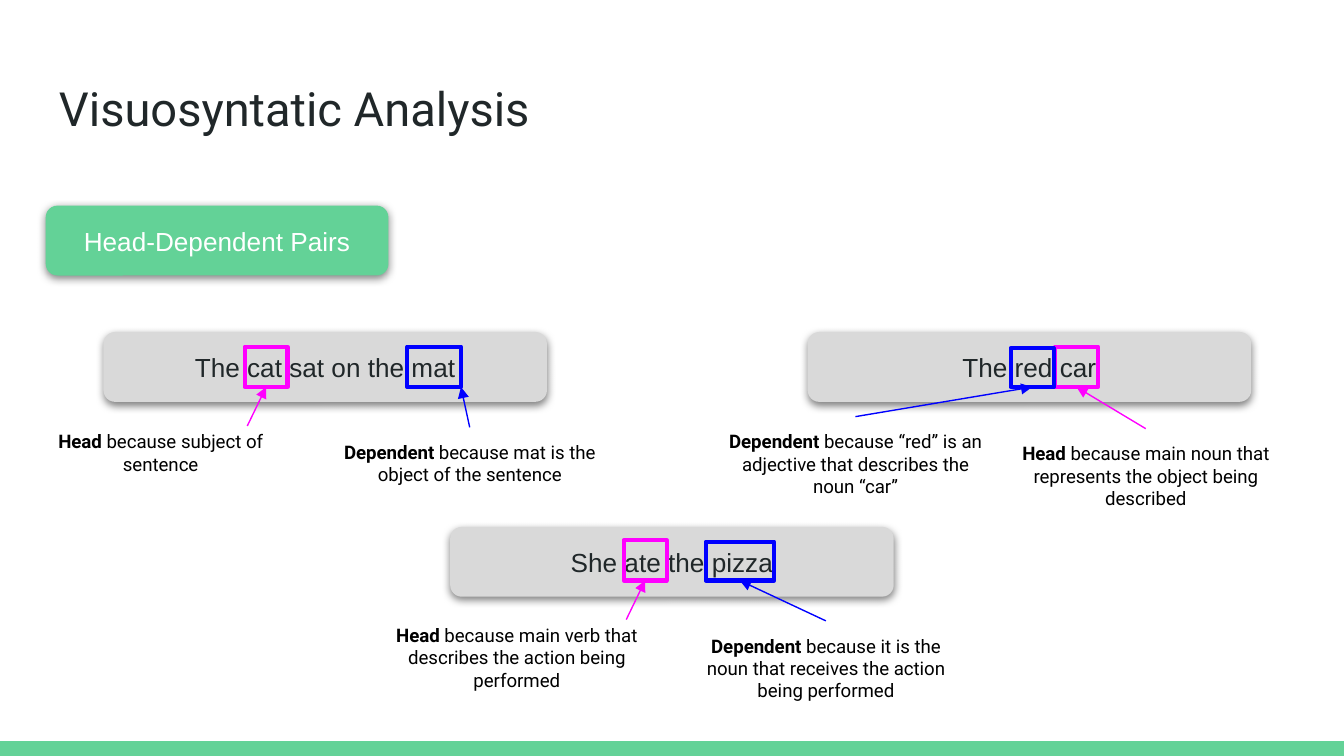
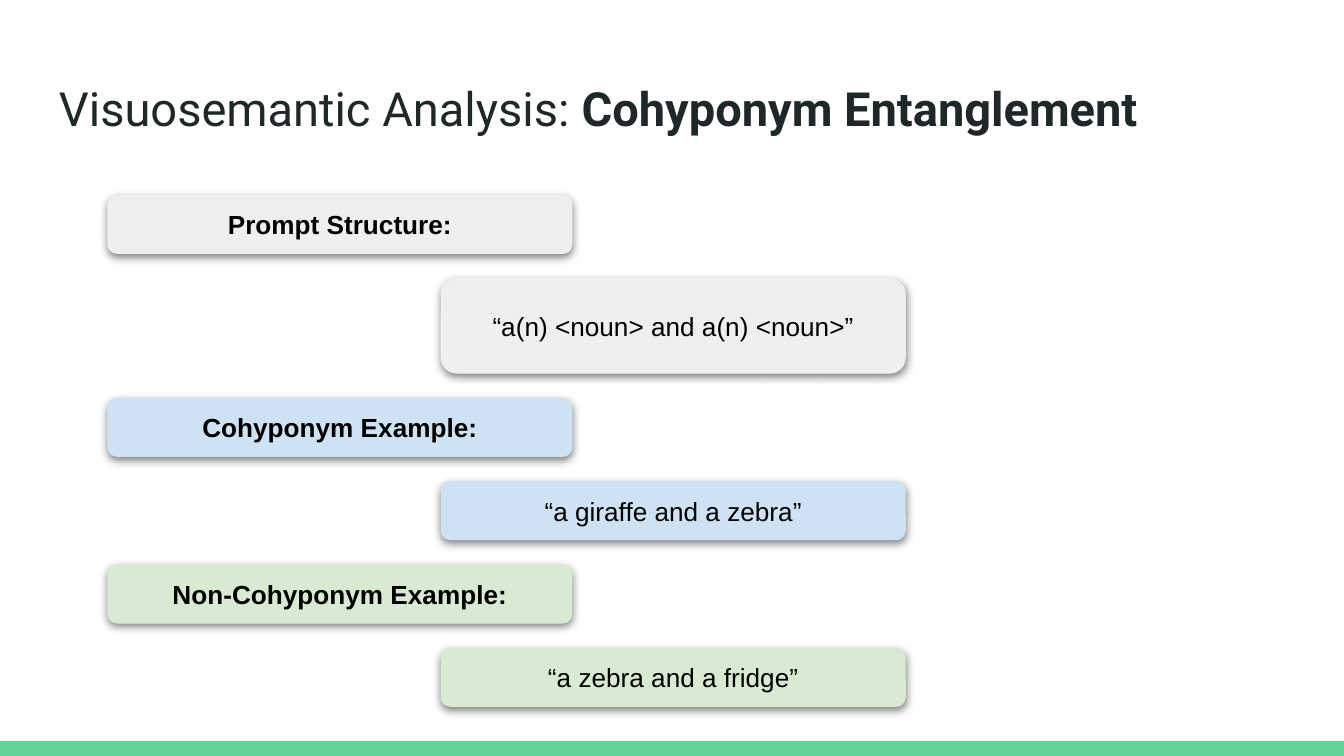
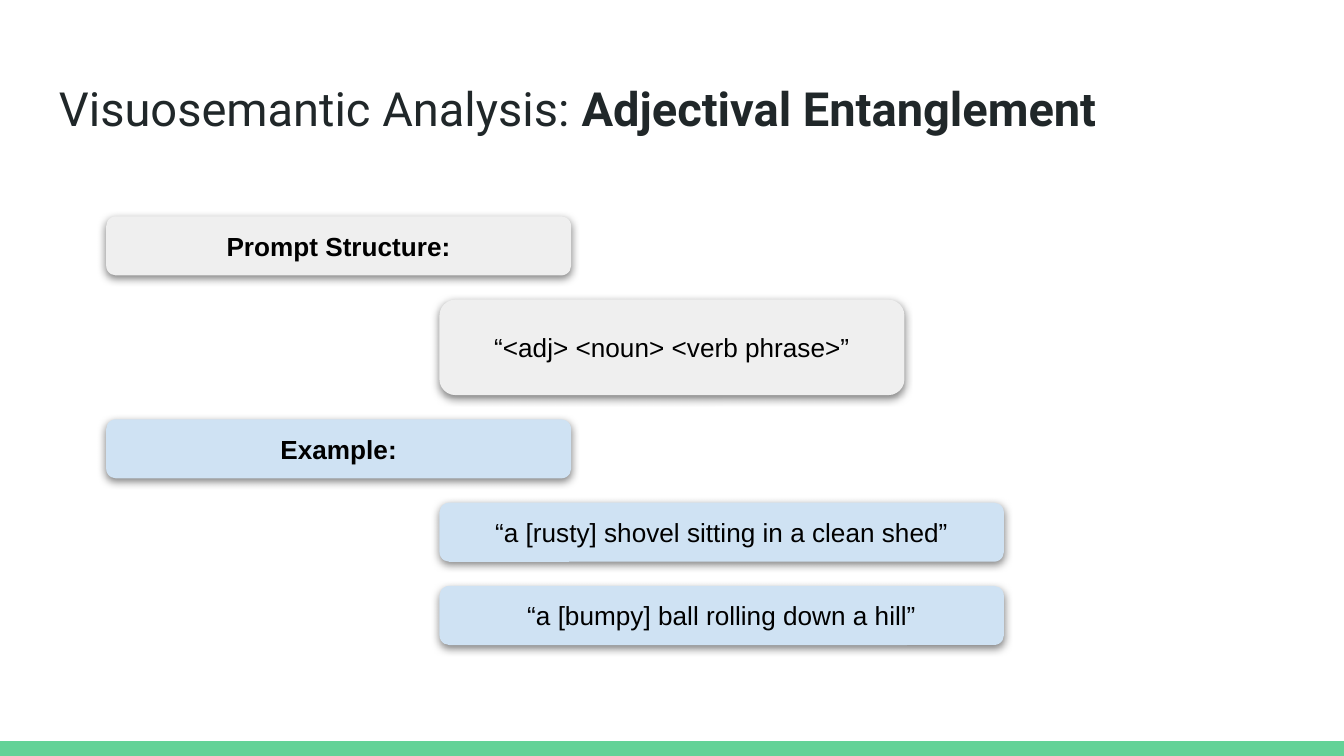
from lxml import etree
from pptx import Presentation, util as u
from pptx.dml.color import RGBColor
from pptx.enum import shapes, text
from pptx.oxml.ns import qn

COLORS = {
    "green": "63D297", "ink": "202729", "black": "000000", "white": "FFFFFF",
    "bar": "D9D9D9", "gray": "EFEFEF", "blue": "CFE2F3", "mint": "D9EAD3",
    "head": "FF00FF", "dependent": "0000FF",
}
WIDTH = 10
HEIGHT = WIDTH * 9 / 16
BAND_HEIGHT = 0.11
INSET = u.Inches(0.1)
FRAME = {
    "word_wrap": True, "margin_left": INSET, "margin_top": INSET,
    "margin_right": INSET, "margin_bottom": INSET,
}
TITLE_FONT = {"name": "Roboto", "size": u.Pt(25.2)}
NOTE_FONT = {"name": "Roboto", "size": u.Pt(10)}
BAR_FONT = {"name": "Arial", "size": u.Pt(14)}
SHADOW = {"blurRad": u.Pt(4.5), "dist": u.Pt(1.5), "dir": 90 * 60000,
          "algn": "bl", "rotWithShape": 0}

BAR_SIZE = (3.3, 0.52)
NOTE_WIDTH = 2.09
STEP_WIDTH = 3.46
STEP_HEIGHT = 0.44
STEP_GAP = 0.18
STEP_INDENT = 2.48

SENTENCES = [
    ("The cat sat on the mat", 0.77, 2.47),
    ("She ate the pizza", 3.35, 3.92),
    ("The red car", 6.01, 2.47),
]
ROLES = [
    {"role": "head", "word": (1.82, 2.58, 0.32, 0.3), "note": (0.15, 3.1, 0.54),
     "reason": "because subject of sentence", "start": (1.84, 3.17)},
    {"role": "dependent", "word": (3.03, 2.58, 0.4, 0.3), "note": (2.45, 3.18, 0.54),
     "reason": "because mat is the object of the sentence", "end": (3.43, 2.88)},
    {"role": "head", "word": (4.64, 4.02, 0.32, 0.3), "note": (2.8, 4.54, 0.71),
     "reason": "because main verb that describes the action being performed",
     "start": (4.66, 4.61)},
    {"role": "dependent", "word": (5.25, 4.03, 0.51, 0.29), "note": (5.1, 4.62, 0.71),
     "reason": "because it is the noun that receives the action being performed"},
    {"role": "head", "word": (7.85, 2.58, 0.32, 0.3), "note": (7.48, 3.19, 0.71),
     "reason": "because main noun that represents the object being described"},
    {"role": "dependent", "word": (7.52, 2.59, 0.32, 0.29), "note": (5.32, 3.1, 0.71),
     "reason": "because “red” is an adjective that describes the noun “car”"},
]
COHYPONYM_STEPS = [
    ("Prompt Structure:", "gray", True, {}),
    ("“a(n) <noun> and a(n) <noun>”", "gray", False, {"height": 0.71}),
    ("Cohyponym Example:", "blue", True, {}),
    ("“a giraffe and a zebra”", "blue", False, {}),
    ("Non-Cohyponym Example:", "mint", True, {}),
    ("“a zebra and a fridge”", "mint", False, {}),
]
ADJECTIVE_STEPS = [
    ("Prompt Structure:", "gray", True, {}),
    ("“<adj> <noun> <verb phrase>”", "gray", False, {"height": 0.71}),
    ("Example:", "blue", True, {}),
    ("“a [rusty] shovel sitting in a clean shed”", "blue", False, {"width": 4.2}),
    ("“a [bumpy] ball rolling down a hill”", "blue", False, {"width": 4.2}),
]


def color(name):
    return RGBColor.from_string(COLORS[name])


def inches(*lengths):
    return [u.Inches(length) for length in lengths]


def apply(target, values):
    for name, value in values.items():
        setattr(target, name, value)


def write(box, spans, font, ink, align=text.PP_ALIGN.LEFT, anchor=text.MSO_ANCHOR.TOP):
    frame = box.text_frame
    apply(frame, {**FRAME, "vertical_anchor": anchor})
    para = frame.paragraphs[0]
    para.alignment = align
    for words, bold in spans:
        span = para.add_run()
        span.text = words
        apply(span.font, {**font, "bold": bold})
        span.font.color.rgb = color(ink)


def add_block(page, kind, place, fill):
    block = page.shapes.add_shape(kind, *inches(*place))
    block.shadow.inherit = False
    block.fill.solid()
    block.fill.fore_color.rgb = color(fill)
    block.line.fill.background()
    return block


def add_bar(page, words, place, fill, ink="black", bold=False):
    bar = add_block(page, shapes.MSO_SHAPE.ROUNDED_RECTANGLE, place, fill)
    effects = bar._element.spPr.find(qn("a:effectLst"))
    shadow = etree.SubElement(effects, qn("a:outerShdw"))
    for name, value in SHADOW.items():
        shadow.set(name, str(value))
    tint = etree.SubElement(shadow, qn("a:srgbClr"), val=COLORS["black"])
    etree.SubElement(tint, qn("a:alpha"), val="50000")
    write(bar, [(words, bold)], BAR_FONT, ink, text.PP_ALIGN.CENTER, text.MSO_ANCHOR.MIDDLE)


def add_frame(page, place, ink):
    frame = page.shapes.add_shape(shapes.MSO_SHAPE.RECTANGLE, *inches(*place))
    frame.shadow.inherit = False
    frame.fill.background()
    frame.line.color.rgb = color(ink)
    frame.line.width = u.Pt(2.25)
    return frame


def add_note(page, place, role, reason):
    left, top, height = place
    note = page.shapes.add_textbox(*inches(left, top, NOTE_WIDTH, height))
    spans = [(role.capitalize() + " ", True), (reason, False)]
    write(note, spans, NOTE_FONT, "black", text.PP_ALIGN.CENTER)
    note.text_frame.auto_size = text.MSO_AUTO_SIZE.SHAPE_TO_FIT_TEXT
    return note


def add_arrow(page, note, frame, ink, start=None, end=None):
    points = inches(*(start or (0, 0)), *(end or (0, 0)))
    arrow = page.shapes.add_connector(shapes.MSO_CONNECTOR.STRAIGHT, *points)
    if start is None:
        arrow.begin_connect(note, 0)
    if end is None:
        arrow.end_connect(frame, 2)
    arrow.line.color.rgb = color(ink)
    arrow.line.width = u.Pt(0.75)
    etree.SubElement(arrow.line._get_or_add_ln(), qn("a:tailEnd"), type="triangle")
    etree.SubElement(arrow._element.spPr, qn("a:effectLst"))


def add_page(deck, title, emphasis=None):
    page = deck.slides.add_slide(deck.slide_layouts[6])
    page.background.fill.solid()
    page.background.fill.fore_color.rgb = color("white")
    band = (0, HEIGHT - BAND_HEIGHT, WIDTH, BAND_HEIGHT)
    add_block(page, shapes.MSO_SHAPE.RECTANGLE, band, "green")
    box = page.shapes.add_textbox(*inches(0.34, 0.49, 9.32, 0.63))
    spans = [(title, False)]
    if emphasis:
        spans = [(title + " ", False), (emphasis, True)]
    write(box, spans, TITLE_FONT, "ink")
    return page


def add_roles(page):
    for item in ROLES:
        role = item["role"]
        frame = add_frame(page, item["word"], role)
        note = add_note(page, item["note"], role, item["reason"])
        add_arrow(page, note, frame, role, item.get("start"), item.get("end"))


def add_steps(page, left, top, steps):
    for words, fill, heading, size in steps:
        width = size.get("width", STEP_WIDTH)
        height = size.get("height", STEP_HEIGHT)
        step_left = left if heading else left + STEP_INDENT
        add_bar(page, words, (step_left, top, width, height), fill, bold=heading)
        top += height + STEP_GAP


def main():
    deck = Presentation()
    deck.slide_width, deck.slide_height = inches(WIDTH, HEIGHT)

    page = add_page(deck, "Visuosyntatic Analysis")
    add_bar(page, "Head-Dependent Pairs", (0.34, 1.53, 2.55, 0.52), "green", "white")
    for words, left, top in SENTENCES:
        add_bar(page, words, (left, top, *BAR_SIZE), "bar", "ink")
    add_roles(page)

    page = add_page(deck, "Visuosemantic Analysis:", "Cohyponym Entanglement")
    add_steps(page, 0.8, 1.45, COHYPONYM_STEPS)

    page = add_page(deck, "Visuosemantic Analysis:", "Adjectival Entanglement")
    add_steps(page, 0.79, 1.61, ADJECTIVE_STEPS)

    deck.save("out.pptx")


if __name__ == "__main__":
    main()
